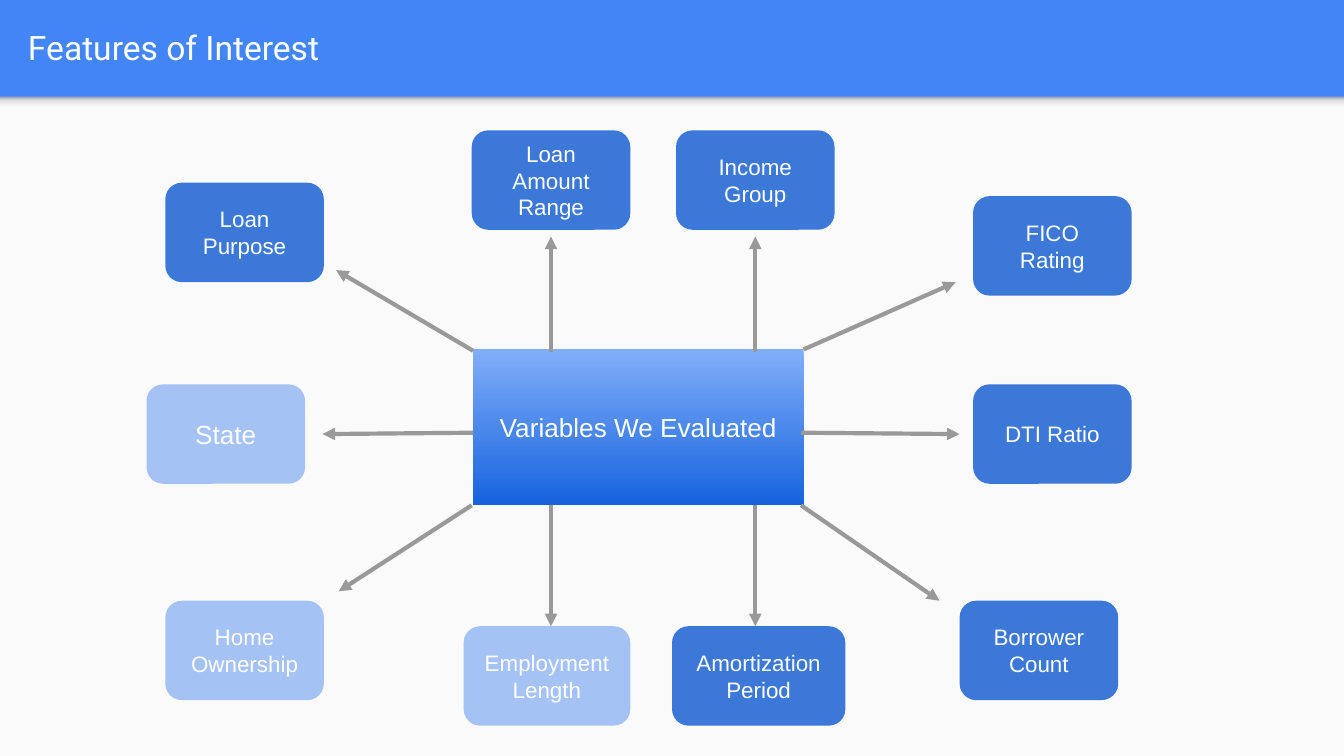
"""Build the Features of Interest slide: a hub with ten evaluated variables around it."""
from lxml.etree import SubElement
from pptx import Presentation
from pptx.dml.color import RGBColor
from pptx.enum.shapes import MSO_CONNECTOR, MSO_SHAPE
from pptx.enum.text import MSO_ANCHOR, PP_ALIGN
from pptx.oxml.ns import qn
from pptx.util import Inches, Pt

THEME = {
    "header": "4285F4", "body": "FAFAFA", "text": "FFFFFF", "arrow": "999999",
    "dark": "3C78D8", "light": "A4C2F4",
    "hub": [(0, "81AEF8"), (100, "1663DF")],
    "shade": [(0, "999999"), (20, "DEDEDE"), (64, "F9F9F9"), (100, "F9F9F9")],
    "title_font": "Roboto", "font": "Arial",
    "title_size": 18, "large": 14, "small": 12, "arrow_width": 2.25,
}
WIDTH = 10
HEIGHT = WIDTH * 9 / 16
HEADER_HEIGHT, SHADE_HEIGHT = 0.72, 0.12
MARGIN = 0.1
BOX_WIDTH, BOX_HEIGHT = 1.18, 0.74
HUB_LEFT, HUB_TOP, HUB_WIDTH, HUB_HEIGHT = 3.52, 2.6, 2.46, 1.16
HUB_RIGHT, HUB_BOTTOM = HUB_LEFT + HUB_WIDTH, HUB_TOP + HUB_HEIGHT
SPOKE_LEFT, SPOKE_RIGHT, SPOKE_TIP = 4.1, 5.62, 1.76
ROWS = {"top": 0.97, "middle": 2.86, "lower": 4.47, "bottom": 4.66}

TITLE = "Features of Interest"
HUB = "Variables We Evaluated"
VARIABLES = [
    ("Loan Purpose", 1.23, 1.36, BOX_WIDTH, "dark", "small", (HUB_LEFT, 2.61), (2.5, 2.01)),
    ("Loan Amount Range", 3.51, ROWS["top"], BOX_WIDTH, "dark", "small",
     (SPOKE_LEFT, 2.62), (SPOKE_LEFT, SPOKE_TIP)),
    ("Income Group", 5.03, ROWS["top"], BOX_WIDTH, "dark", "small",
     (SPOKE_RIGHT, 2.62), (SPOKE_RIGHT, SPOKE_TIP)),
    ("FICO Rating", 7.24, 1.46, BOX_WIDTH, "dark", "small", (HUB_RIGHT, HUB_TOP), (7.11, 2.1)),
    ("State", 1.09, ROWS["middle"], BOX_WIDTH, "light", "large", (HUB_LEFT, 3.22), (2.4, 3.23)),
    ("DTI Ratio", 7.24, ROWS["middle"], BOX_WIDTH, "dark", "small", (5.96, 3.22), (7.14, 3.23)),
    ("Home Ownership", 1.23, ROWS["lower"], BOX_WIDTH, "light", "small",
     (3.51, HUB_BOTTOM), (2.52, 4.4)),
    ("Employment Length", 3.45, ROWS["bottom"], 1.24, "light", "small",
     (SPOKE_LEFT, HUB_BOTTOM), (SPOKE_LEFT, ROWS["bottom"])),
    ("Amortization Period", 5, ROWS["bottom"], 1.29, "dark", "small",
     (SPOKE_RIGHT, HUB_BOTTOM), (SPOKE_RIGHT, ROWS["bottom"])),
    ("Borrower Count", 7.14, ROWS["lower"], BOX_WIDTH, "dark", "small",
     (5.96, HUB_BOTTOM), (6.99, 4.47)),
]


def color(name):
    return RGBColor.from_string(THEME[name])


def add_block(slide, preset, place, fill):
    block = slide.shapes.add_shape(preset, *map(Inches, place))
    block.shadow.inherit = False
    block.line.fill.background()
    if isinstance(THEME[fill], list):
        shade_down(block, THEME[fill])
    else:
        block.fill.solid()
        block.fill.fore_color.rgb = color(fill)
    return block


def shade_down(block, stops):
    block.fill.gradient()
    block.fill.gradient_angle = 270
    stop_list = block.fill._xPr.find(qn("a:gradFill")).find(qn("a:gsLst"))
    for old in list(stop_list):
        stop_list.remove(old)
    for share, value in stops:
        stop = SubElement(stop_list, qn("a:gs"), pos=str(share * 1000))
        SubElement(stop, qn("a:srgbClr"), val=value)


def write(holder, words, size, font="font", align=PP_ALIGN.CENTER):
    frame = holder.text_frame
    frame.text = words
    frame.word_wrap = True
    frame.vertical_anchor = MSO_ANCHOR.MIDDLE
    frame.margin_left = frame.margin_right = Inches(MARGIN)
    frame.margin_top = frame.margin_bottom = Inches(MARGIN)
    paragraph = frame.paragraphs[0]
    paragraph.alignment = align
    for run in paragraph.runs:
        run.font.name = THEME[font]
        run.font.size = Pt(THEME[size])
        run.font.color.rgb = color("text")


def add_arrow(slide, start, end):
    arrow = slide.shapes.add_connector(MSO_CONNECTOR.STRAIGHT, *map(Inches, start + end))
    arrow.line.color.rgb = color("arrow")
    arrow.line.width = Pt(THEME["arrow_width"])
    SubElement(arrow.line._get_or_add_ln(), qn("a:tailEnd"), type="triangle")
    SubElement(arrow._element.spPr, qn("a:effectLst"))


def main():
    deck = Presentation()
    deck.slide_width, deck.slide_height = Inches(WIDTH), Inches(HEIGHT)
    slide = deck.slides.add_slide(deck.slide_layouts[6])
    slide.background.fill.solid()
    slide.background.fill.fore_color.rgb = color("header")
    add_block(slide, MSO_SHAPE.RECTANGLE,
              (0, HEADER_HEIGHT, WIDTH, HEIGHT - HEADER_HEIGHT), "body")
    add_block(slide, MSO_SHAPE.RECTANGLE, (0, HEADER_HEIGHT, WIDTH, SHADE_HEIGHT), "shade")

    title = slide.shapes.add_textbox(*map(Inches, (0.11, 0.02, 9.65, 0.66)))
    write(title, TITLE, "title_size", "title_font", PP_ALIGN.LEFT)

    hub = add_block(slide, MSO_SHAPE.RECTANGLE,
                    (HUB_LEFT, HUB_TOP, HUB_WIDTH, HUB_HEIGHT), "hub")
    write(hub, HUB, "large")

    for label, left, top, width, fill, size, start, end in VARIABLES:
        add_arrow(slide, start, end)
        box = add_block(slide, MSO_SHAPE.ROUNDED_RECTANGLE,
                        (left, top, width, BOX_HEIGHT), fill)
        write(box, label, size)

    deck.save("out.pptx")


if __name__ == "__main__":
    main()
